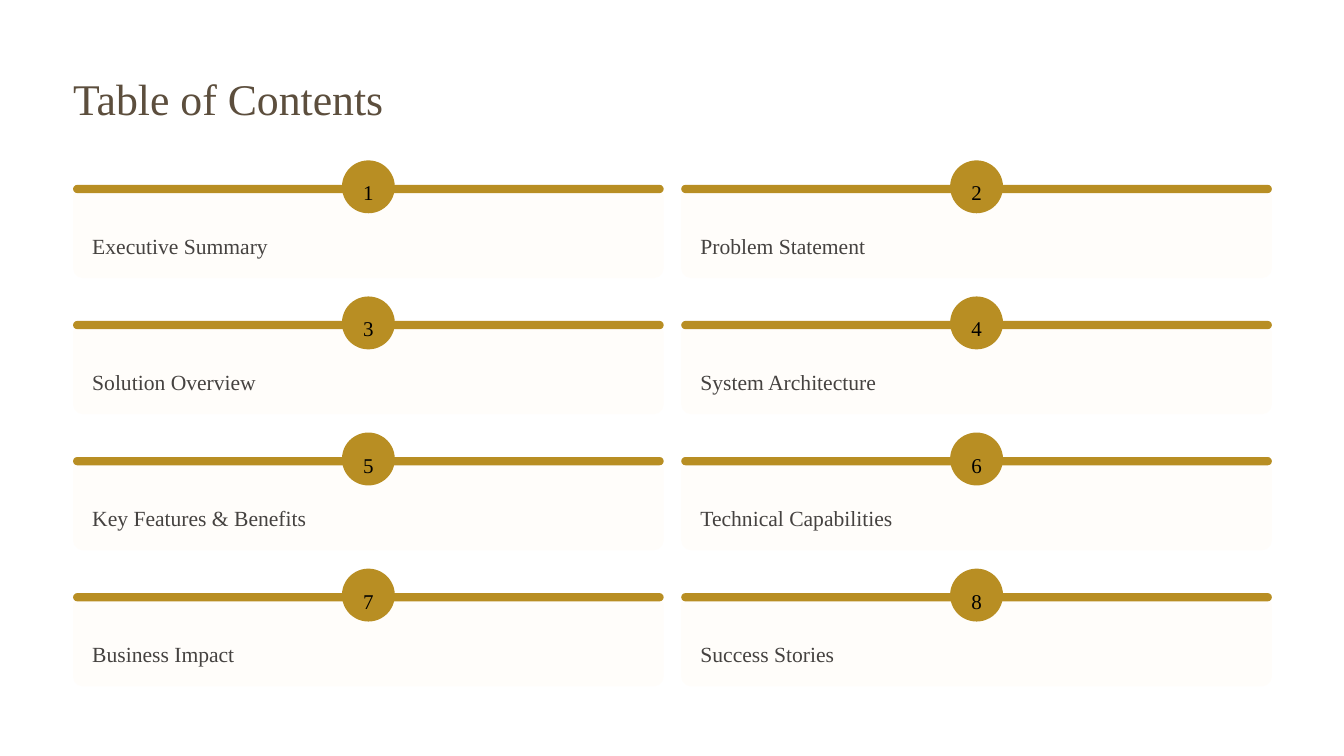
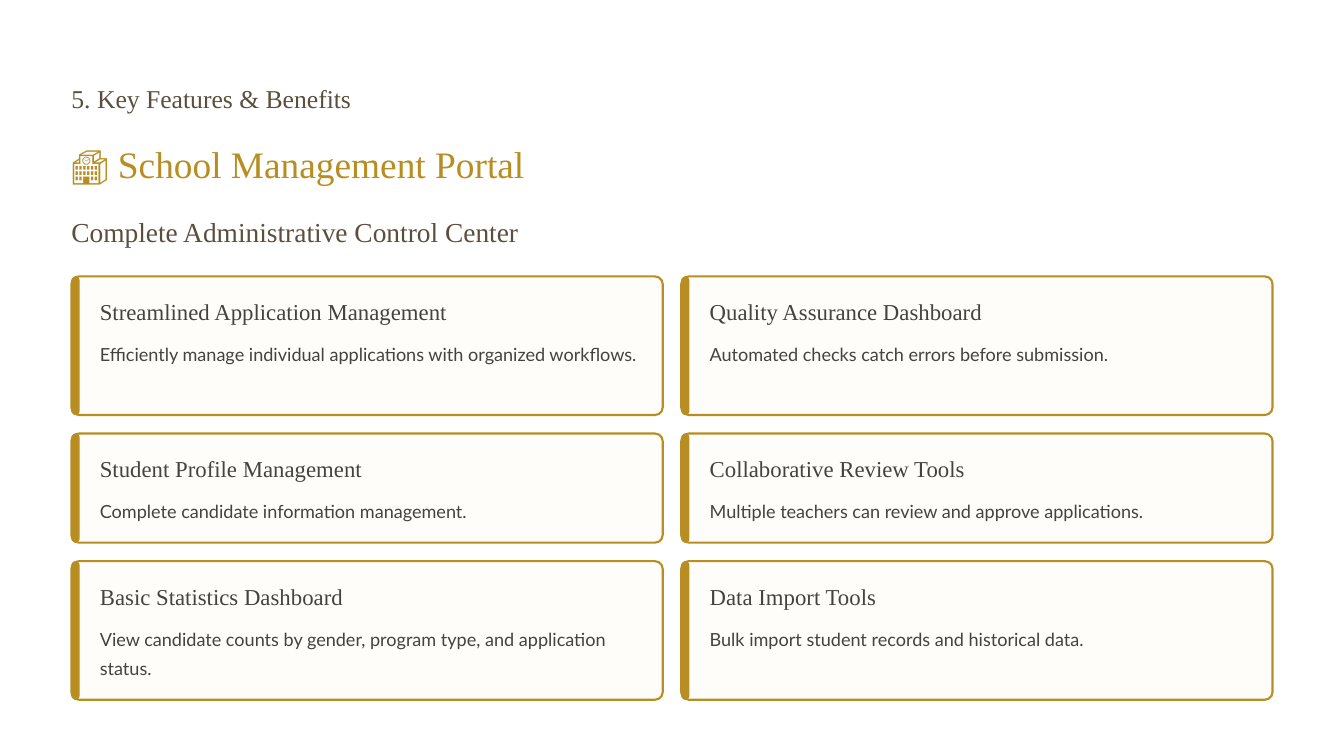
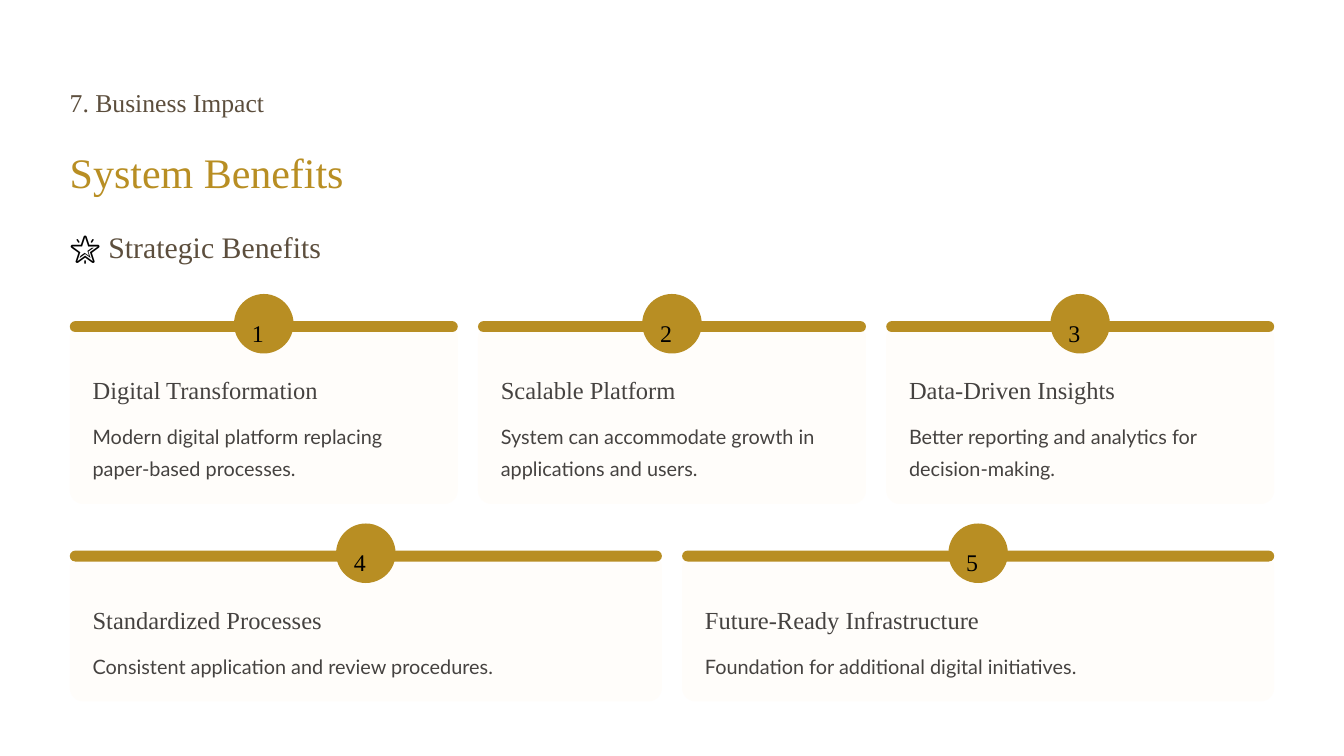
from dataclasses import dataclass
from typing import NamedTuple

from pptx import Presentation
from pptx.dml.color import RGBColor
from pptx.enum.shapes import MSO_SHAPE
from pptx.util import Cm, Pt

ROUNDED = MSO_SHAPE.ROUNDED_RECTANGLE
BLANK_LAYOUT = 6

GOLD = RGBColor(0xB8, 0x8E, 0x23)
BROWN = RGBColor(0x5C, 0x4E, 0x3D)
CHARCOAL = RGBColor(0x45, 0x42, 0x40)
IVORY = RGBColor(0xFF, 0xFD, 0xFA)
BLACK = RGBColor(0, 0, 0)
SERIF = "Times New Roman"
SANS = "Lato"


class TextStyle(NamedTuple):
    size: float
    leading: float
    color: RGBColor
    font: str = SERIF


@dataclass(frozen=True)
class Theme:
    accent: RGBColor = GOLD
    panel: RGBColor = IVORY
    marker: RGBColor = BLACK
    border: float = 1.8
    contents_title: TextStyle = TextStyle(37.5, 47, BROWN)
    contents_number: TextStyle = TextStyle(18, 29, BLACK)
    contents_label: TextStyle = TextStyle(18.5, 23.5, CHARCOAL)
    section: TextStyle = TextStyle(22, 49, BROWN)
    portal_title: TextStyle = TextStyle(32, 39, GOLD)
    portal_subtitle: TextStyle = TextStyle(23.5, 29, BROWN)
    feature_heading: TextStyle = TextStyle(19.5, 24.5, CHARCOAL)
    feature_body: TextStyle = TextStyle(15.5, 25, CHARCOAL, SANS)
    benefits_title: TextStyle = TextStyle(36, 42.5, GOLD)
    benefits_subtitle: TextStyle = TextStyle(25.5, 32, BROWN)
    benefit_number: TextStyle = TextStyle(20.5, 32.5, BLACK)
    benefit_heading: TextStyle = TextStyle(21, 26.5, CHARCOAL)
    benefit_body: TextStyle = TextStyle(17, 27, CHARCOAL, SANS)


class NumberedLayout(NamedTuple):
    """Measures, in centimetres, of cards topped by a bar and a numbered badge."""
    left: float
    width: float
    gap: float
    radius: float
    bar_rise: float
    bar_height: float
    badge_rise: float
    badge_size: float
    number_x: float
    number_y: float
    inset: float
    heading_y: float
    body_y: float
    number_style: TextStyle
    heading_style: TextStyle
    body_style: TextStyle


def add_panel(slide, left, top, width, height, radius, fill, border=None):
    """Add a rounded rectangle; lengths are in centimetres, border in points."""
    shape = slide.shapes.add_shape(ROUNDED, Cm(left), Cm(top), Cm(width), Cm(height))
    shape.adjustments[0] = min(0.5, radius / min(width, height))
    shape.shadow.inherit = False
    shape.fill.solid()
    shape.fill.fore_color.rgb = fill
    if border:
        shape.line.color.rgb = theme.accent
        shape.line.width = Pt(border)
    else:
        shape.line.fill.background()


def add_text(slide, left, top, width, height, style, text, marker=""):
    """Add one paragraph in a box without margins, led by an optional marker run."""
    box = slide.shapes.add_textbox(Cm(left), Cm(top), Cm(width), Cm(height))
    frame = box.text_frame
    frame.word_wrap = True
    frame.margin_left = frame.margin_right = frame.margin_top = frame.margin_bottom = 0
    paragraph = frame.paragraphs[0]
    paragraph.line_spacing = Pt(style.leading)
    for content, color in ((marker, theme.marker), (text, style.color)):
        if content:
            run = paragraph.add_run()
            run.text = content
            run.font.size = Pt(style.size)
            run.font.name = style.font
            run.font.color.rgb = color


theme = Theme()
presentation = Presentation()
presentation.slide_width = Cm(40.64)
presentation.slide_height = Cm(22.86)
contents, features, benefits = [
    presentation.slides.add_slide(presentation.slide_layouts[BLANK_LAYOUT]) for _ in range(3)
]

# Titles
add_text(contents, 2.21, 2.11, 13.4, 1.68, theme.contents_title, "Table of Contents")
add_text(features, 2.16, 1.7, 18.3, 1.73, theme.section, "5. Key Features & Benefits")
add_text(features, 2.16, 4.24, 17.1, 1.4, theme.portal_title, "🏫 School Management Portal")
add_text(features, 2.16, 6.48, 17.4, 1.04, theme.portal_subtitle,
         "Complete Administrative Control Center")
add_text(benefits, 2.11, 1.82, 15.1, 1.73, theme.section, "7. Business Impact")
add_text(benefits, 2.11, 4.45, 12.1, 1.5, theme.benefits_title, "System Benefits")
add_text(benefits, 2.11, 6.86, 9.5, 1.12, theme.benefits_subtitle, " Strategic Benefits", "🌟")

# Numbered cards on the contents and benefits slides
contents_layout = NumberedLayout(
    left=2.21, width=36.25, gap=0.53, radius=0.3, bar_rise=0.05, bar_height=0.25,
    badge_rise=0.79, badge_size=1.6, number_x=0.64, number_y=0.33,
    inset=0.58, heading_y=1.35, body_y=0,
    number_style=theme.contents_number, heading_style=theme.contents_label,
    body_style=theme.contents_label)
benefits_layout = NumberedLayout(
    left=2.11, width=36.42, gap=0.61, radius=0.41, bar_rise=0.09, bar_height=0.33,
    badge_rise=0.91, badge_size=1.8, number_x=0.54, number_y=0.46,
    inset=0.69, heading_y=1.5, body_y=2.81,
    number_style=theme.benefit_number, heading_style=theme.benefit_heading,
    body_style=theme.benefit_body)

contents_rows = [
    ("Executive Summary", "Problem Statement"),
    ("Solution Overview", "System Architecture"),
    ("Key Features & Benefits", "Technical Capabilities"),
    ("Business Impact", "Success Stories"),
]
numbered_rows = [
    (contents, contents_layout, 5.64 + 4.115 * row, 2.77, 1 + 2 * row,
     [(label, "") for label in labels])
    for row, labels in enumerate(contents_rows)
]
numbered_rows += [
    (benefits, benefits_layout, 9.8, 5.44, 1, [
        ("Digital Transformation", "Modern digital platform replacing paper-based processes."),
        ("Scalable Platform", "System can accommodate growth in applications and users."),
        ("Data-Driven Insights", "Better reporting and analytics for decision-making."),
    ]),
    (benefits, benefits_layout, 16.74, 4.47, 4, [
        ("Standardized Processes", "Consistent application and review procedures."),
        ("Future-Ready Infrastructure", "Foundation for additional digital initiatives."),
    ]),
]

for slide, layout, top, height, first_number, cards in numbered_rows:
    width = (layout.width - layout.gap * (len(cards) - 1)) / len(cards)
    text_width = width - 2 * layout.inset
    badge = layout.badge_size
    badge_top = top - layout.badge_rise
    for column, (heading, body) in enumerate(cards):
        left = layout.left + column * (width + layout.gap)
        text_left = left + layout.inset
        badge_left = left + (width - badge) / 2
        add_panel(slide, left, top, width, height, layout.radius, theme.panel)
        add_panel(slide, left, top - layout.bar_rise, width, layout.bar_height,
                  layout.bar_height / 2, theme.accent)
        add_panel(slide, badge_left, badge_top, badge, badge, badge / 2, theme.accent)
        add_text(slide, badge_left + layout.number_x, badge_top + layout.number_y,
                 0.7, 0.9, layout.number_style, str(first_number + column))
        add_text(slide, text_left, top + layout.heading_y, text_width, 0.9,
                 layout.heading_style, heading)
        if body:
            add_text(slide, text_left, top + layout.body_y, text_width,
                     height - layout.body_y - layout.inset, layout.body_style, body)

# Feature cards
feature_rows = [
    (4.19, [
        ("Streamlined Application Management",
         "Efficiently manage individual applications with organized workflows."),
        ("Quality Assurance Dashboard", "Automated checks catch errors before submission."),
    ]),
    (3.3, [
        ("Student Profile Management", "Complete candidate information management."),
        ("Collaborative Review Tools", "Multiple teachers can review and approve applications."),
    ]),
    (4.19, [
        ("Basic Statistics Dashboard",
         "View candidate counts by gender, program type, and application status."),
        ("Data Import Tools", "Bulk import student records and historical data."),
    ]),
]
card_width, card_gap, strip_width = 17.88, 0.56, 0.25
text_indent, text_margin, body_offset = 0.86, 0.61, 1.8
text_width = card_width - text_indent - text_margin
top = 8.36
for height, cards in feature_rows:
    for column, (heading, body) in enumerate(cards):
        left = 2.16 + column * (card_width + card_gap)
        text_left = left + text_indent
        add_panel(features, left, top, card_width, height, 0.23, theme.panel, theme.border)
        add_panel(features, left, top, strip_width, height, strip_width / 2, theme.accent)
        add_text(features, text_left, top + text_margin, text_width, 0.86,
                 theme.feature_heading, heading)
        add_text(features, text_left, top + body_offset, text_width,
                 height - body_offset - text_margin, theme.feature_body, body)
    top += height + card_gap

presentation.save("out.pptx")
